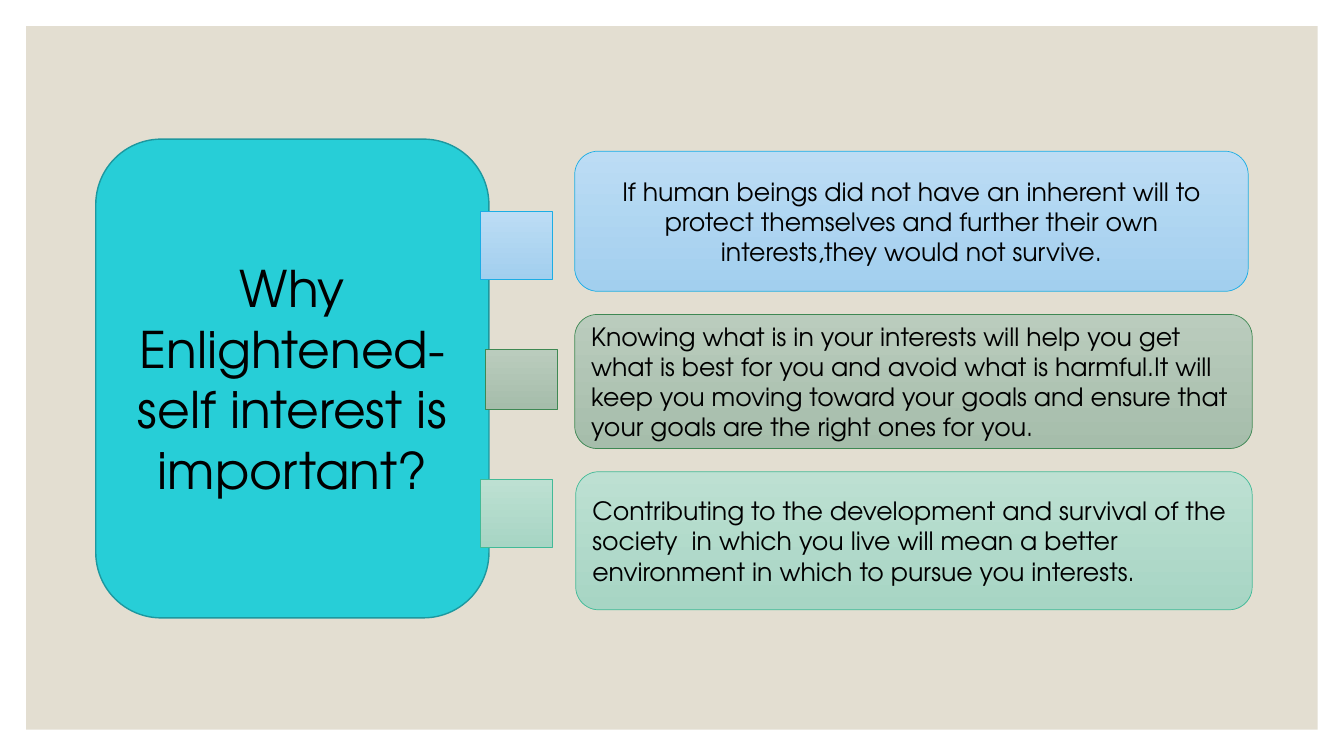
from pptx import Presentation
from pptx import util as u
from pptx.dml.color import RGBColor
from pptx.enum import shapes, text

QUESTION = "Why Enlightened-self interest is important?"
CENTER, LEFT = text.PP_ALIGN.CENTER, text.PP_ALIGN.LEFT

# Each reason: wording, alignment, palette, box and tab as (left, top, width, height)
REASONS = [
    ("If human beings did not have an inherent will to protect themselves "
     "and further their own interests,they would not survive.",
     CENTER, "blue", (5.7, 1.5, 6.68, 1.39), (4.76, 2.1, 0.72, 0.67)),
    ("Knowing what is in your interests will help you get what is best for you "
     "and avoid what is harmful.It will keep you moving toward your goals "
     "and ensure that your goals are the right ones for you.",
     LEFT, "olive", (5.7, 3.12, 6.72, 1.33), (4.81, 3.47, 0.72, 0.59)),
    ("Contributing to the development and survival of the society  in which "
     "you live will mean a better environment in which to pursue you interests.",
     LEFT, "mint", (5.71, 4.68, 6.71, 1.37), (4.76, 4.76, 0.72, 0.67)),
]
PANEL_MARGIN = 0.26
QUESTION_BOX = (0.95, 1.38, 3.9, 4.75)

# A palette is (fill colours from top to bottom, line colour, line width)
THEME = {
    "font": "TeX Gyre Adventor",
    "ink": "000000",
    "question_size": 36,
    "reason_size": 18,
    "panel": (["E3DED1"], None, 0),
    "question": (["27CED7"], "1D989F", 1),
    "blue": (["BCDCF4", "A2CFEE"], "1CADE4", 0.5),
    "olive": (["BACCBD", "A6BDAB"], "3E8853", 0.5),
    "mint": (["BDE0D2", "A7D5C4"], "42BA97", 0.5),
}
RECT = shapes.MSO_SHAPE.RECTANGLE
ROUNDED = shapes.MSO_SHAPE.ROUNDED_RECTANGLE


def rgb(code):
    return RGBColor.from_string(code)


def add_block(s, kind, box, palette):
    colors, line, width = THEME[palette]
    sp = s.shapes.add_shape(kind, *(u.Inches(v) for v in box))
    sp.shadow.inherit = False
    if len(colors) == 1:
        sp.fill.solid()
        sp.fill.fore_color.rgb = rgb(colors[0])
    else:
        sp.fill.gradient()
        sp.fill.gradient_angle = 270
        for stop, color in zip(sp.fill.gradient_stops, colors):
            stop.color.rgb = rgb(color)
    if line:
        sp.line.color.rgb = rgb(line)
        sp.line.width = u.Pt(width)
    else:
        sp.line.fill.background()
    return sp


def write(sp, words, size, align):
    tf = sp.text_frame
    tf.word_wrap = True
    tf.vertical_anchor = text.MSO_ANCHOR.MIDDLE
    p = tf.paragraphs[0]
    p.alignment = align
    r = p.add_run()
    r.text = words
    for name, value in {"name": THEME["font"], "size": u.Pt(size)}.items():
        setattr(r.font, name, value)
    r.font.color.rgb = rgb(THEME["ink"])


def main():
    prs = Presentation()
    prs.slide_width, prs.slide_height = u.Inches(13.33), u.Inches(7.5)
    s = prs.slides.add_slide(prs.slide_layouts[6])

    m = PANEL_MARGIN
    add_block(s, RECT, (m, m, 13.33 - 2 * m, 7.5 - 2 * m), "panel")
    sp = add_block(s, ROUNDED, QUESTION_BOX, "question")
    write(sp, QUESTION, THEME["question_size"], CENTER)

    for words, align, palette, box, tab in REASONS:
        add_block(s, RECT, tab, palette)
        sp = add_block(s, ROUNDED, box, palette)
        write(sp, words, THEME["reason_size"], align)

    prs.save("out.pptx")


if __name__ == "__main__":
    main()
